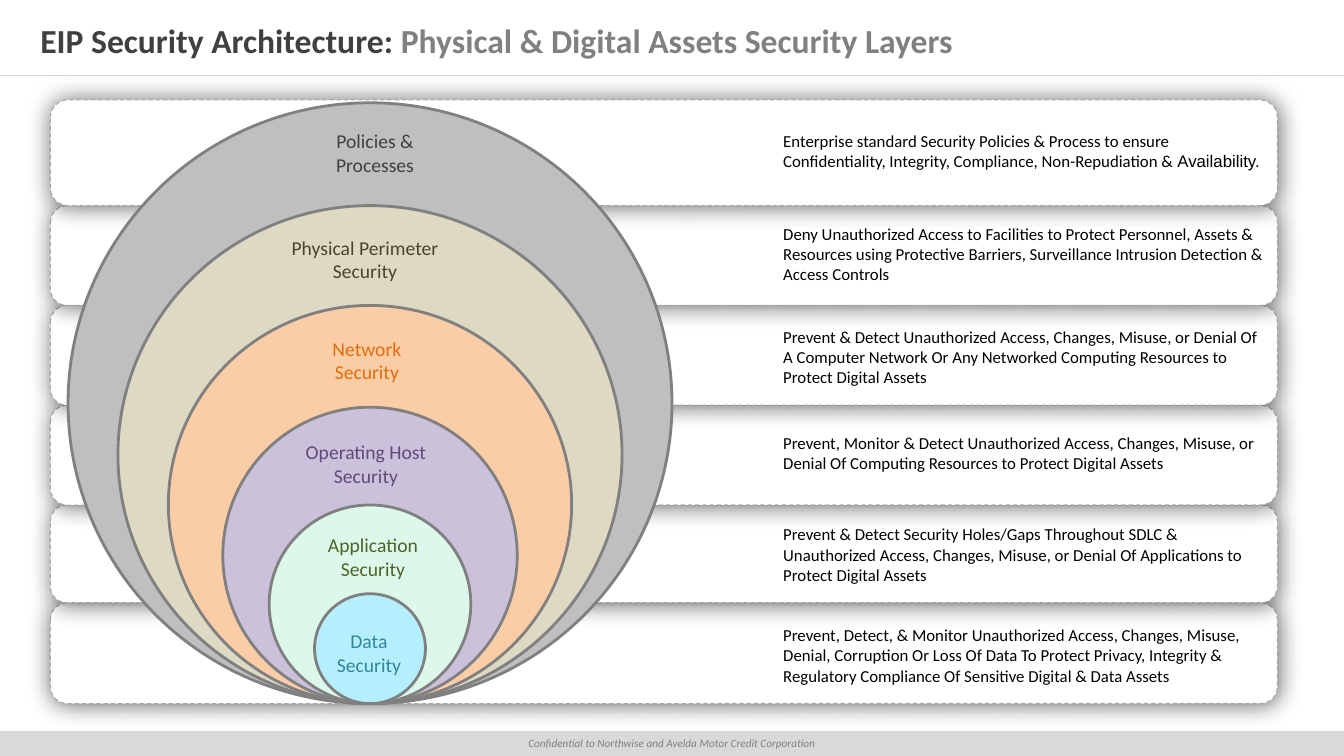
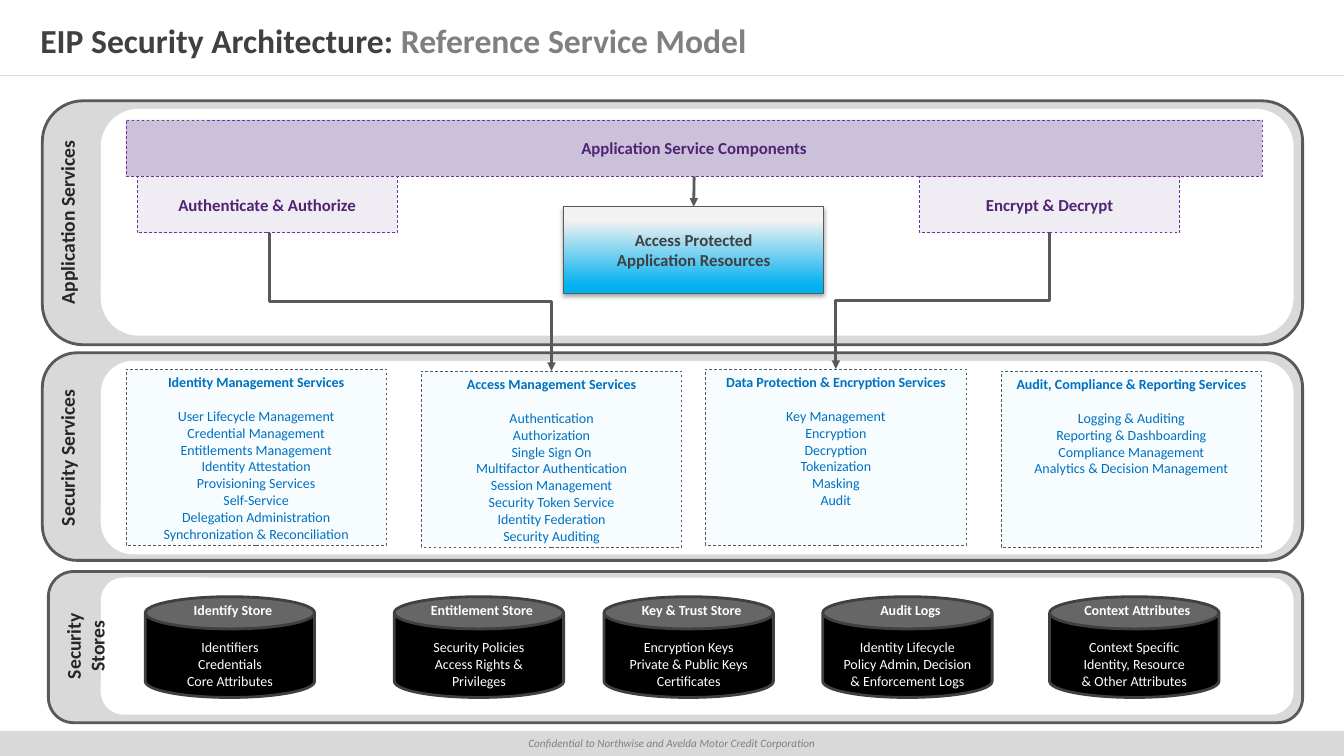
from lxml import etree
from pptx import Presentation
from pptx.dml.color import RGBColor
from pptx.enum import dml, shapes, text
from pptx.oxml import ns
from pptx.util import Inches, Pt

HUES = {
    "ink": "404040", "dark": "262626", "edge": "595959", "gray": "808080",
    "mid": "A6A6A6", "pale": "D9D9D9", "white": "FFFFFF", "black": "000000",
    "blue": "0070C0", "ice": "F7FDFF", "sky": "00B0F0", "fog": "F2F2F2",
    "violet": "7030A0", "plum": "512373", "lilac": "CCC1DA", "mist": "F0ECF4",
    "steel": "BFBFBF", "sand": "DDD9C3", "peach": "FBCDA7", "mint": "DCF8EB",
    "aqua": "B5EFFD", "teal": "31859C", "moss": "4F6228", "grape": "604A7B",
    "orange": "E46C0A", "bark": "4A452A",
}
KIND = shapes.MSO_SHAPE
MID, TOP = text.MSO_ANCHOR.MIDDLE, text.MSO_ANCHOR.TOP
LEFT, MEAN = text.PP_ALIGN.LEFT, text.PP_ALIGN.CENTER

# Shared wording
HEAD = "EIP Security Architecture: "
FOOT = "Confidential to Northwise and Avelda Motor Credit Corporation"

# Slide 1: row top, middle of its text, runs
ROWS = [
    (0.99, 1.5, [
        "Enterprise standard Security Policies & Process to ensure Confidentiality, "
        "Integrity, Compliance, Non-Repudiation & ", ("Availability.", {"name": "Arial"})]),
    (2.04, 2.52, [
        "Deny Unauthorized Access to Facilities to Protect Personnel, Assets & Resources "
        "using Protective Barriers, Surveillance Intrusion Detection & Access Controls"]),
    (3.03, 3.54, [
        "Prevent & Detect Unauthorized Access, Changes, Misuse, or Denial Of A Computer "
        "Network Or Any Networked Computing Resources to Protect Digital Assets"]),
    (4.02, 4.49, [
        "Prevent, Monitor & Detect Unauthorized Access, Changes, Misuse, or Denial Of "
        "Computing Resources to Protect Digital Assets"]),
    (5.01, 5.5, [
        "Prevent & Detect Security Holes/Gaps Throughout SDLC & Unauthorized Access, "
        "Changes, Misuse, or Denial Of Applications to Protect Digital Assets"]),
    (5.98, 6.5, [
        "Prevent, Detect, & Monitor Unauthorized Access, Changes, Misuse, Denial, Corruption "
        "Or Loss Of Data To Protect Privacy, Integrity & Regulatory Compliance Of Sensitive "
        "Digital & Data Assets"]),
]
BASE = 6.98  # common foot of rows and rings

# Ring top, width, fill, label middle, label top, label colour, label lines
RINGS = [
    (1.02, 5.99, "steel", 3.72, 1.23, "ink", ["Policies &", "Processes"]),
    (2.04, 5, "sand", 3.62, 2.29, "bark", ["Physical Perimeter", "Security"]),
    (3.03, 4, "peach", 3.64, 3.29, "orange", ["Network", "Security"]),
    (4.04, 2.92, "lilac", 3.63, 4.32, "grape", ["Operating Host", "Security"]),
    (5.01, 2, "mint", 3.7, 5.24, "moss", ["Application", "Security"]),
    (5.89, 1.1, "aqua", 3.66, 6.19, "teal", ["Data", "Security"]),
]

# Slide 2: panel name, left, top, height, inner top, inner height
PANELS = [
    ("Security Stores", 0.48, 5.67, 1.5, 5.73, 1.36),
    ("Security Services", 0.42, 3.5, 2.06, 3.58, 1.92),
    ("Application Services", 0.42, 1, 2.42, 1.08, 2.25),
]
STORES = [
    (1.44, "Identify Store", ["Identifiers", "Credentials", "Core Attributes"]),
    (3.91, "Entitlement Store", ["Security Policies", "Access Rights &", "Privileges"]),
    (5.99, "Key & Trust Store",
     ["Encryption Keys", "Private & Public Keys", "Certificates"]),
    (8.16, "Audit Logs",
     ["Identity Lifecycle", "Policy Admin, Decision", "& Enforcement Logs"]),
    (10.41, "Context Attributes",
     ["Context Specific", "Identity, Resource", "& Other Attributes"]),
]
CARDS = [
    (1.25, 3.66, "Identity Management Services",
     ["User Lifecycle Management", "Credential Management", "Entitlements Management",
      "Identity Attestation", "Provisioning Services", "Self-Service",
      "Delegation Administration", "Synchronization & Reconciliation"]),
    (4.18, 3.68, "Access Management Services",
     ["Authentication", "Authorization", "Single Sign On", "Multifactor Authentication",
      "Session Management", "Security Token Service", "Identity Federation",
      "Security Auditing"]),
    (7, 3.66, "Data Protection & Encryption Services",
     ["Key Management", "Encryption", "Decryption", "Tokenization", "Masking", "Audit"]),
    (9.93, 3.68, "Audit, Compliance & Reporting Services",
     ["Logging & Auditing", "Reporting & Dashboarding", "Compliance Management",
      "Analytics & Decision Management"]),
]
# Left, top, width, fill, text
BARS = [
    (1.25, 1.19, 11.27, "lilac", "Application Service Components"),
    (1.36, 1.75, 2.58, "mist", "Authenticate & Authorize"),
    (9.12, 1.75, 2.58, "mist", "Encrypt & Decrypt"),
]
BENDS = [((2.67, 2.31), (5.47, 3.68)), ((10.41, 2.31), (8.29, 3.66))]


def hue(name):
    return RGBColor.from_string(HUES[name])


def inch(*nums):
    return [Inches(n) for n in nums]


def sub(node, tag, **attrs):
    return etree.SubElement(node, ns.qn(tag), {k: str(v) for k, v in attrs.items()})


def say(shape, paras, size, color, align=MEAN, anchor=MID, pads=(0.1, 0.05, 0.1, 0.05),
        **font):
    """Fill a shape with paragraphs; each is a string or a list of runs."""
    frame = shape.text_frame
    frame.word_wrap = True
    frame.vertical_anchor = anchor
    (frame.margin_left, frame.margin_top,
     frame.margin_right, frame.margin_bottom) = inch(*pads)
    for i, para in enumerate(paras):
        line = frame.add_paragraph() if i else frame.paragraphs[0]
        line.alignment = align
        for part in [para] if isinstance(para, str) else para:
            words, diff = (part, {}) if isinstance(part, str) else part
            look = {"name": "Calibri", "color": color, **font, **diff}
            run = line.add_run()
            run.text = words
            run.font.size = Pt(size)
            run.font.color.rgb = hue(look.pop("color"))
            for key, val in look.items():
                setattr(run.font, key, val)
    return frame


def draw(slide, kind, box, fill, edge=None, width=0, dash=False, shade=None):
    """Add a preset shape; shade is opacity, blur, distance, angle."""
    shape = slide.shapes.add_shape(kind, *inch(*box))
    shape.fill.solid()
    shape.fill.fore_color.rgb = hue(fill)
    if edge:
        shape.line.color.rgb = hue(edge)
        shape.line.width = Pt(width)
        if dash:
            shape.line.dash_style = dml.MSO_LINE.DASH
    else:
        shape.line.fill.background()
    shape.shadow.inherit = False
    if shade:
        alpha, blur, dist, ang = shade
        glow = sub(shape.element.spPr.find(ns.qn("a:effectLst")), "a:outerShdw",
                   blurRad=Pt(blur), dist=Pt(dist), dir=ang * 60000,
                   algn="ctr", rotWithShape=0)
        tint = sub(glow, "a:srgbClr", val=HUES["black"])
        sub(tint, "a:alpha", val=alpha * 1000)
    return shape


def note(slide, box, paras, size, color, **opts):
    area = slide.shapes.add_textbox(*inch(*box))
    frame = say(area, paras, size, color, **opts)
    frame.auto_size = text.MSO_AUTO_SIZE.SHAPE_TO_FIT_TEXT
    return frame


def link(slide, kind, start, end, color="edge", width=2, head=True):
    wire = slide.shapes.add_connector(kind, *inch(*start, *end))
    wire.line.color.rgb = hue(color)
    wire.line.width = Pt(width)
    if head:
        sub(wire.line._get_or_add_ln(), "a:tailEnd", type="triangle")
    sub(wire.element.spPr, "a:effectLst")
    return wire


def bend(slide, start, end):
    """Elbow arrow that leaves downward, runs sideways, then goes down."""
    (x1, y1), (x2, y2) = start, end
    midx, midy = (x1 + x2) / 2, (y1 + y2) / 2
    half, rise = (y2 - y1) / 2, abs(x2 - x1) / 2
    side = 1 if x2 > x1 else -1
    wire = link(slide, shapes.MSO_CONNECTOR.ELBOW,
                (midx + side * half, midy - rise), (midx - side * half, midy + rise))
    turn = 270 if side > 0 else 90
    wire.element.spPr.find(ns.qn("a:xfrm")).set("rot", str(turn * 60000))


def dress(layout, slide):
    """Put the footer band and the title rule on the layout."""
    for spot in list(layout.placeholders):
        if spot.placeholder_format.type != shapes.PP_PLACEHOLDER.TITLE:
            spot.element.getparent().remove(spot.element)
    band = draw(slide, KIND.RECTANGLE, (0, 7.25, 13.33, 0.25), "pale")
    say(band, [FOOT], 8, "gray", italic=True)
    rule = link(slide, shapes.MSO_CONNECTOR.STRAIGHT, (0, 0.75), (13.33, 0.75),
                "pale", 0.25, False)
    for part in (band, rule):
        layout.shapes.element.append(part.element)


def start(deck, layout, topic):
    slide = deck.slides.add_slide(layout)
    title = slide.shapes.title
    title.left, title.top, title.width, title.height = inch(0, 0.16, 13.33, 0.48)
    frame = say(title, [[HEAD, (topic, {"color": "gray"})]], 24, "ink", align=LEFT,
                pads=(0.4, 0.2, 0.4, 0.2), bold=True)
    frame.auto_size = text.MSO_AUTO_SIZE.NONE
    return slide


def layers(slide):
    # Rows, lowest first
    foots = [row[0] for row in ROWS[1:]] + [BASE]
    for (top, _, _), foot in reversed(list(zip(ROWS, foots))):
        draw(slide, KIND.ROUNDED_RECTANGLE, (0.5, top, 12.17, foot - top), "white",
             "mid", 0, True, (60, 17, 0, 0))
    for _, mid, runs in ROWS:
        note(slide, (7.67, mid - 0.35, 5, 0.7), [runs], 12, "black", align=LEFT)
    # Rings, widest first
    for top, wide, fill, *_ in RINGS:
        draw(slide, KIND.OVAL, (3.67 - wide / 2, top, wide, BASE - top), fill, "gray", 2)
    for *_, mid, top, color, lines in RINGS:
        note(slide, (mid - 0.88, top, 1.76, 0.57), lines, 14, color, anchor=TOP)


def model(slide):
    # Panels with upright names
    for name, left, top, high, intop, inhigh in PANELS:
        draw(slide, KIND.ROUNDED_RECTANGLE, (left, top, 12.92 - left, high),
             "pale", "edge", 2)
        draw(slide, KIND.ROUNDED_RECTANGLE, (1, intop, 11.83, inhigh), "white")
        frame = note(slide, (left + 0.08, intop, 0.44, inhigh), [name], 14, "dark",
                     anchor=TOP, bold=True)
        frame.paragraphs[0].space_before = Pt(2)
        frame._txBody.bodyPr.set("vert", "vert270")
    # Stores
    for left, name, lines in STORES:
        can = draw(slide, KIND.CAN, (left, 5.92, 1.68, 1), "black", "ink", 2)
        can.adjustments[0] = 0.32
        say(can, lines, 10, "white", pads=(0.1, 0.22, 0.1, 0.05))
        label = note(slide, (left + 0.07, 5.92, 1.6, 0.27), [name], 10, "white",
                     anchor=TOP, bold=True)
        label.paragraphs[0].space_before = Pt(2)
    # Service cards
    for left, top, name, lines in CARDS:
        card = draw(slide, KIND.RECTANGLE, (left, top, 2.58, 1.75), "ice", "edge", 0.5, True)
        frame = say(card, [[(name, {"bold": True})], *lines], 10, "blue", anchor=TOP)
        frame.paragraphs[0].space_after = Pt(12)
    # Application bars
    bars = []
    for left, top, wide, fill, name in BARS:
        bar = draw(slide, KIND.RECTANGLE, (left, top, wide, 0.56), fill, "violet", 0.5, True)
        say(bar, [name], 12, "plum", pads=(0.2, 0.05, 0.2, 0.05), bold=True)
        bars.append(bar)
    # Protected resources
    core = draw(slide, KIND.RECTANGLE, (5.59, 2.05, 2.58, 0.86), "fog", "edge", 0.75,
                shade=(35, 3.1, 1.8, 90))
    core.fill.gradient()
    core.fill.gradient_angle = 90
    for stop, (spot, color) in zip(core.fill.gradient_stops, [(0.08, "sky"), (0.84, "fog")]):
        stop.position = spot
        stop.color.rgb = hue(color)
    say(core, ["Access Protected", "Application Resources"], 12, "ink", bold=True)
    # Arrows
    drop = link(slide, shapes.MSO_CONNECTOR.STRAIGHT, (6.88, 1.75), (6.88, 2.05))
    drop.begin_connect(bars[0], 2)
    drop.end_connect(core, 0)
    for ends in BENDS:
        bend(slide, *ends)


def main():
    deck = Presentation()
    deck.slide_width, deck.slide_height = inch(13.33, 7.5)
    layout = deck.slide_layouts[5]
    first = start(deck, layout, "Physical & Digital Assets Security Layers")
    dress(layout, first)
    layers(first)
    model(start(deck, layout, "Reference Service Model"))
    deck.save("out.pptx")


if __name__ == "__main__":
    main()
